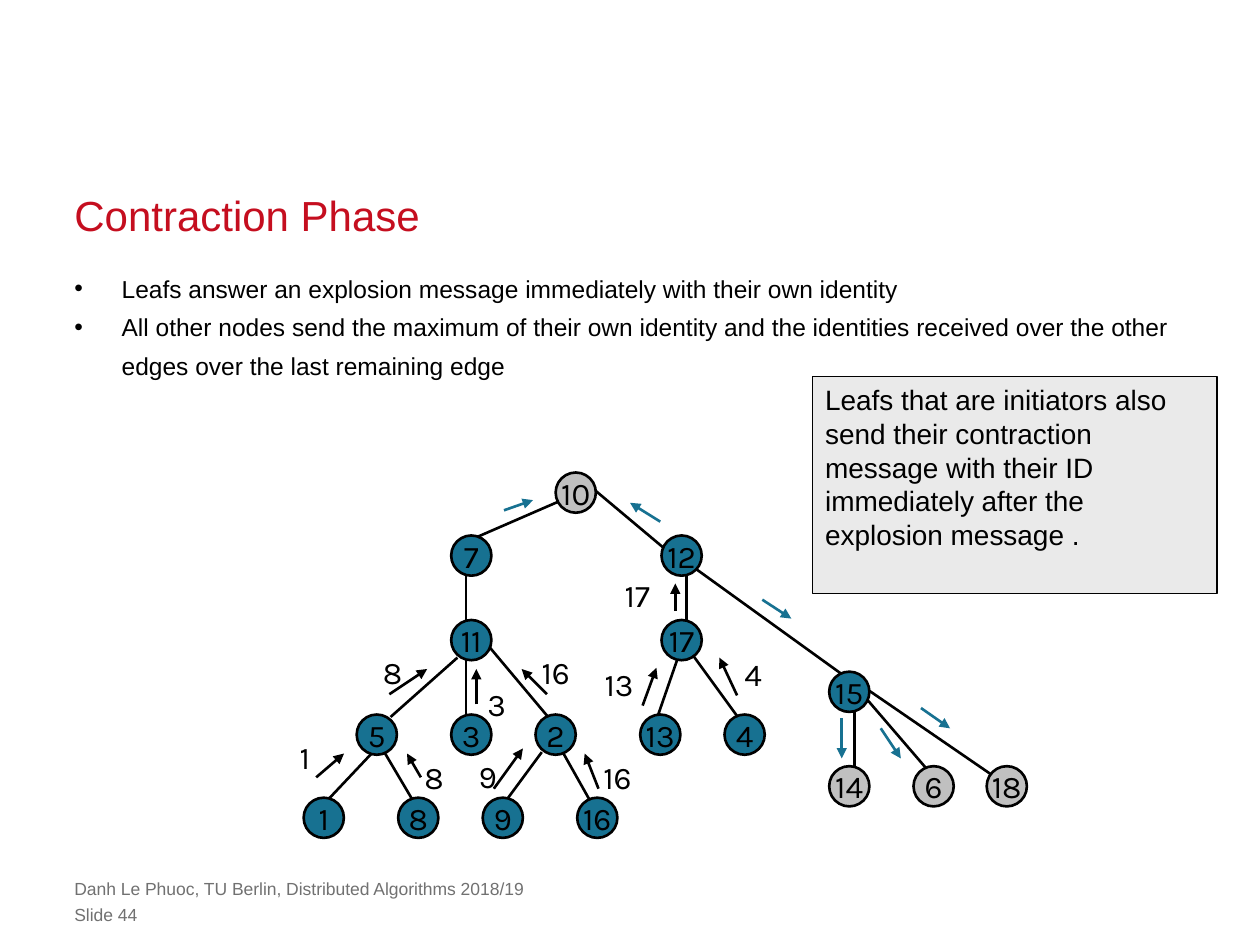
from lxml import etree
from pptx import Presentation
from pptx.dml.color import RGBColor
from pptx.enum.shapes import MSO_CONNECTOR, MSO_SHAPE
from pptx.enum.text import MSO_ANCHOR, MSO_AUTO_SIZE, PP_ALIGN
from pptx.oxml.ns import qn
from pptx.util import Pt

LINE = MSO_CONNECTOR.STRAIGHT
OVAL, RECT = MSO_SHAPE.OVAL, MSO_SHAPE.RECTANGLE
TOP, MID, LOW = MSO_ANCHOR.TOP, MSO_ANCHOR.MIDDLE, MSO_ANCHOR.BOTTOM
LEFT, CENTER = PP_ALIGN.LEFT, PP_ALIGN.CENTER
NO_FIT = MSO_AUTO_SIZE.NONE

HUES = {"ink": "000000", "red": "C50E1F", "teal": "177191",
        "gray": "C0C0C0", "pale": "EAEAEA", "foot": "717171"}
NODE = 23

NODES = [
    (10, 169, 11.5, "gray"), (7, 109.3, 47.5, "teal"),
    (12, 229.5, 47.5, "teal"), (11, 109.3, 95.8, "teal"),
    (17, 229.5, 95.8, "teal"), (15, 325.3, 125.3, "teal"),
    (5, 55.3, 149.8, "teal"), (3, 109.3, 149.8, "teal"),
    (2, 157.5, 149.8, "teal"), (13, 217.3, 149.8, "teal"),
    (4, 265.5, 149.8, "teal"), (14, 325.3, 179.3, "gray"),
    (6, 373.5, 179.3, "gray"), (18, 415.3, 179.3, "gray"),
    (1, 25, 197.3, "teal"), (8, 79, 197.3, "teal"),
    (9, 127.3, 197.3, "teal"), (16, 181.3, 197.3, "teal"),
]
EDGES = [
    (179.1, 9.4, 219.4, 43.2), (161.1, 15.8, 111.4, 37.4),
    (106.4, 57.6, 106.4, 85.7), (232.4, 57.6, 232.4, 85.7),
    (233.1, 51.8, 321, 115.2), (101.4, 105.8, 63.2, 139.7),
    (106.4, 105.8, 106.4, 139.7), (119.4, 99.4, 153.2, 139.7),
    (227.4, 105.8, 213.7, 145.4), (233.8, 101.5, 262.6, 141.1),
    (328.2, 135.4, 328.2, 175.7), (335.4, 129.6, 375, 175.7),
    (335.4, 123.8, 411, 175.7), (53.1, 159.8, 27.2, 187.2),
    (59.6, 159.8, 75.4, 186.5), (149.6, 159.8, 129.4, 187.2),
    (160.4, 157.7, 177, 187.2),
]
REPLIES = [
    (1, (4.2, 148.3), (20.7, 174.2, 36.6, 160.6)),
    (8, (51.7, 99.4), (62.5, 126.7, 84.1, 112.3)),
    (8, (75.4, 159.8), (80.5, 174.2, 72.6, 160.6)),
    (9, (106.4, 159.1), (122.2, 180.7, 138.8, 157.7)),
    (16, (142.4, 99.4), (152.5, 126.7, 138.1, 112.3)),
    (16, (177.7, 159.8), (182, 180.7, 174.1, 160.6)),
    (13, (178.4, 106.6), (207.2, 133.2, 215.1, 111.6)),
    (17, (189.9, 55.4), (225.9, 79.2, 225.9, 63.4)),
    (4, (258.3, 100.8), (261.2, 127.4, 251.1, 105.8)),
    (3, (111.4, 118.1), (112.2, 132.5, 112.2, 112.3)),
]
BLASTS = [
    (275.6, 72.7, 292.2, 83.5), (366.3, 134.6, 382.9, 146.2),
    (343.3, 146.2, 354.8, 163.4), (321, 140.4, 321, 163.4),
    (128, 21.6, 144.6, 15.8), (217.3, 28.1, 200, 17.3),
]


def color(name):
    return RGBColor.from_string(HUES[name])


def place(shape, box):
    shape.left, shape.top, shape.width, shape.height = map(Pt, box)


def write(shape, lines, size, hue="ink", face="Arial", align=LEFT,
          anchor=TOP, wrap=True, pad=(0, 0), lead=None):
    frame = shape.text_frame
    frame.auto_size = NO_FIT
    frame.word_wrap = wrap
    frame.vertical_anchor = anchor
    frame.margin_left = frame.margin_right = Pt(pad[0])
    frame.margin_top = frame.margin_bottom = Pt(pad[1])
    for i, line in enumerate(lines):
        para = frame.add_paragraph() if i else frame.paragraphs[0]
        para.text = line
        para.alignment = align
        para.font.size = Pt(size)
        para.font.name = face
        para.font.color.rgb = color(hue)
        if lead:
            para.line_spacing = Pt(lead)
            para.space_before = Pt(0)


def add_form(slide, kind, box, fill, width):
    form = slide.shapes.add_shape(kind, *map(Pt, box))
    form.shadow.inherit = False
    form.fill.solid()
    form.fill.fore_color.rgb = color(fill)
    form.line.color.rgb = color("ink")
    form.line.width = Pt(width)
    return form


def add_line(slide, box, ends, hue="ink", arrow=False):
    x, y = box[:2]
    x1, y1, x2, y2 = ends
    link = slide.shapes.add_connector(
        LINE, Pt(x + x1), Pt(y + y1), Pt(x + x2), Pt(y + y2))
    link.line.color.rgb = color(hue)
    link.line.width = Pt(1.5)
    if arrow:
        etree.SubElement(link.line._get_or_add_ln(), qn("a:tailEnd"), type="triangle")
    etree.SubElement(link._element.spPr, qn("a:effectLst"))


def add_title(slide, box):
    title = slide.shapes.title
    place(title, box)
    write(title, ["Contraction Phase"], 24, "red", anchor=LOW, lead=30)


def add_list(slide, box):
    body = slide.placeholders[1]
    place(body, box)
    write(body, [
        "Leafs answer an explosion message immediately with their own identity",
        "All other nodes send the maximum of their own identity and the "
        "identities received over the other edges over the last remaining edge",
    ], 14, lead=22)
    for para in body.text_frame.paragraphs:
        props = para._p.get_or_add_pPr()
        props.set("marL", str(Pt(27)))
        props.set("indent", str(-Pt(27)))
        etree.SubElement(props, qn("a:buChar"), char="•")


def add_tree(slide, box):
    x, y = box[:2]
    for ends in EDGES:
        add_line(slide, box, ends)
    for name, mid, row, fill in NODES:
        spot = (x + mid - NODE / 2, y + row - NODE / 2, NODE, NODE)
        node = add_form(slide, OVAL, spot, fill, 1.5)
        write(node, [str(name)], 18, face="Karla", align=CENTER,
              anchor=MID, wrap=False, pad=(7.2, 3.6))
    for name, (dx, dy), ends in REPLIES:
        add_line(slide, box, ends, arrow=True)
        wide = 34.5 if name > 9 else 24.5
        label = slide.shapes.add_textbox(Pt(x + dx), Pt(y + dy), Pt(wide), Pt(29))
        write(label, [str(name)], 18, face="Karla", wrap=False, pad=(7.2, 3.6))
    for ends in BLASTS:
        add_line(slide, box, ends, "teal", arrow=True)


def add_note(slide, box):
    note = add_form(slide, RECT, box, "pale", 0.75)
    write(note, ["Leafs that are initiators also\nsend their contraction message "
                 "with their ID immediately after the \nexplosion message ."],
          16, pad=(7.2, 3.6))


def add_foot(slide, box):
    x, y, wide, high = box
    for i, line in enumerate([
            "Danh Le Phuoc, TU Berlin, Distributed Algorithms 2018/19", "Slide 44"]):
        foot = slide.shapes.add_textbox(
            Pt(x), Pt(y + i * 14.7), Pt(wide), Pt(high))
        write(foot, [line], 10, "foot")


def main():
    deck = Presentation()
    deck.slide_width, deck.slide_height = Pt(720), Pt(540)
    slide = deck.slides.add_slide(deck.slide_layouts[1])
    add_title(slide, (42.5, 106.5, 635, 30.5))
    add_list(slide, (42.5, 151.2, 635, 320.4))
    add_tree(slide, (160, 270, 430, 210))
    add_note(slide, (464.4, 215.3, 231, 123.8))
    add_foot(slide, (42.5, 501.8, 521.3, 12.2))
    deck.save("out.pptx")


if __name__ == "__main__":
    main()
